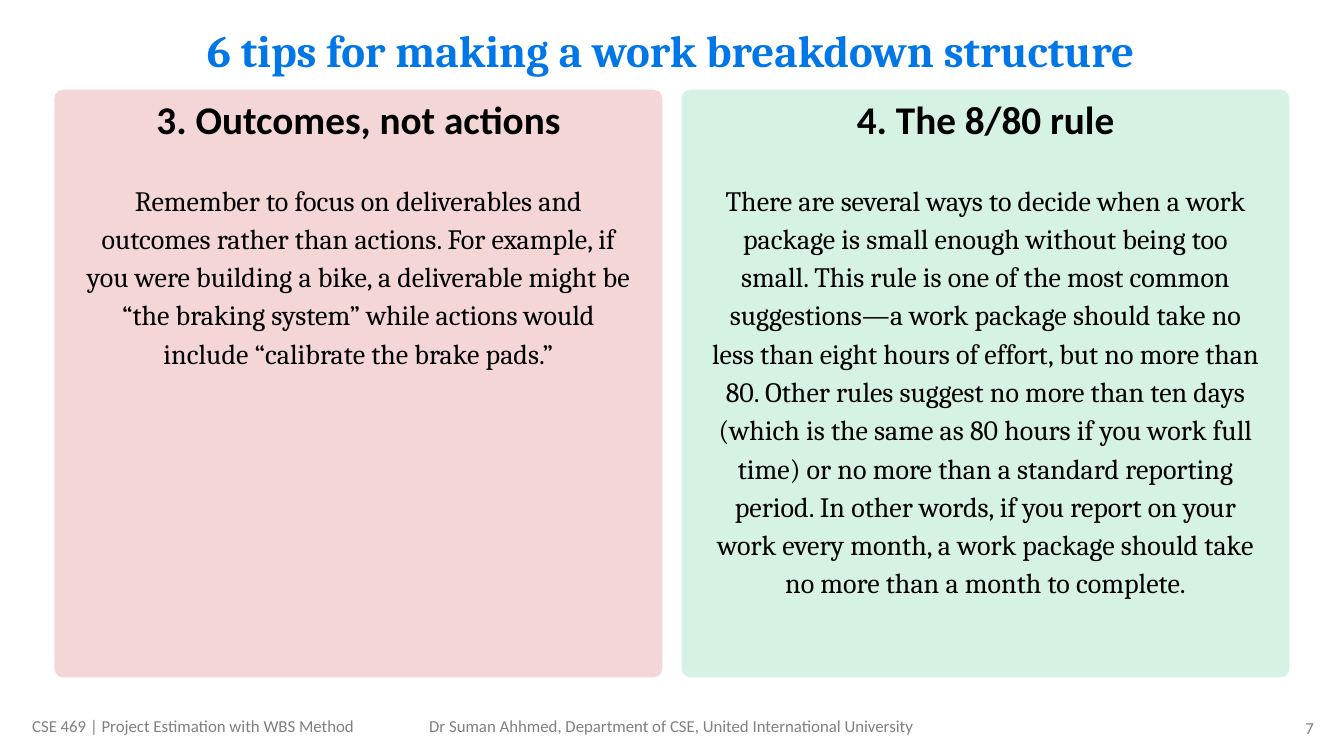
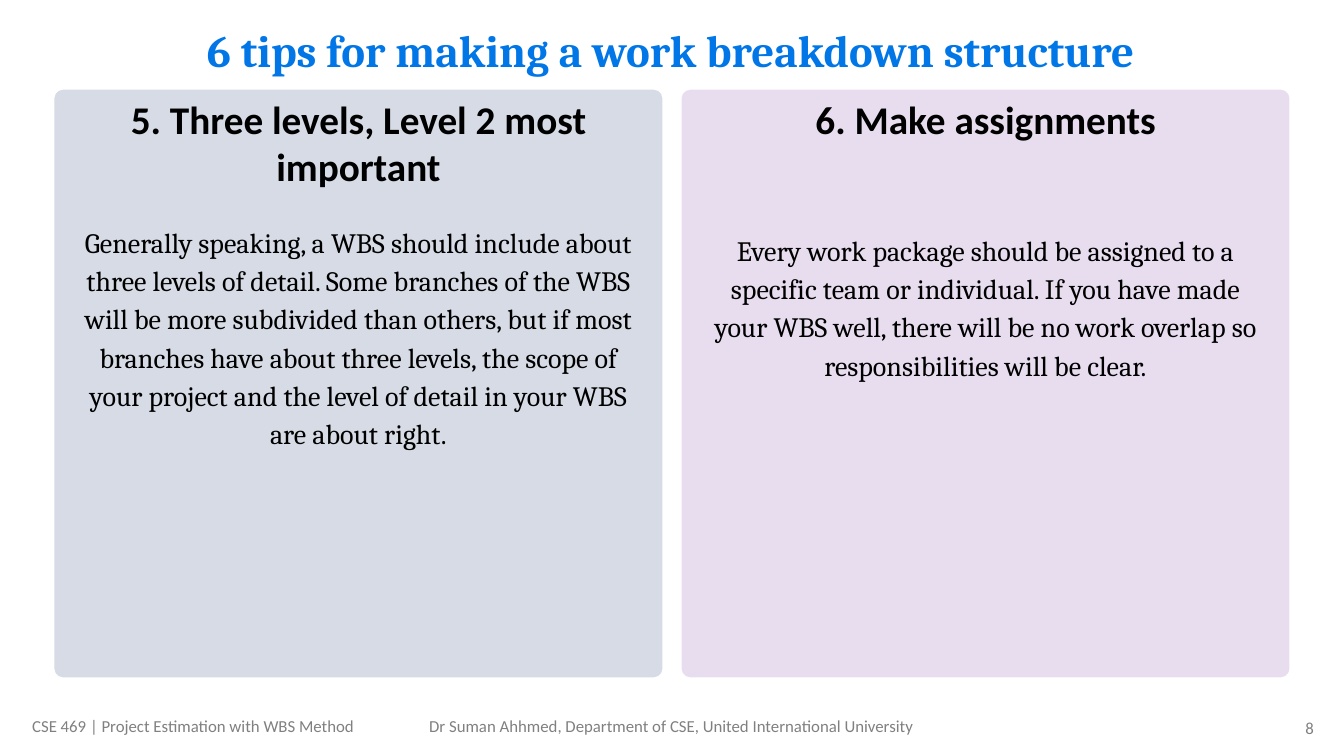
from dataclasses import dataclass

from lxml import etree
from pptx import Presentation
from pptx.dml.color import RGBColor
from pptx.enum.shapes import MSO_SHAPE
from pptx.enum.text import MSO_ANCHOR, MSO_AUTO_SIZE, PP_ALIGN
from pptx.oxml.ns import qn
from pptx.util import Inches, Pt

BLACK, FOOTER_GRAY, TITLE_BLUE = "000000", "808080", "0076E7"
HEADING_FONT, TEXT_FONT = "Calibri", "Cambria"
TITLE_ONLY_LAYOUT = 5
FIRST_NUMBER = 7

TITLE = "6 tips for making a work breakdown structure"
TITLE_BOX = (0.54, 0.17, 12.23, 0.72)
CARD_LEFT, CARD_TOP = 0.54, 0.89
CARD_WIDTH, CARD_HEIGHT, CARD_GAP = 6.03, 5.83, 0.19
CARD_INSET = 0.18
CARD_OPACITY = 16

COURSE = "CSE 469 | Project Estimation with WBS Method"
LECTURER = "Dr Suman Ahhmed, Department of CSE, United International University"


@dataclass
class Tip:
    heading: str
    text: str
    color: str
    heading_height: float = 0.56
    text_offset: float = 0.83


SLIDES = [
    [
        Tip("3. Outcomes, not actions",
            "Remember to focus on deliverables and outcomes rather than actions. "
            "For example, if you were building a bike, a deliverable might be "
            "“the braking system” while actions would include “calibrate the "
            "brake pads.”",
            "C00000"),
        Tip("4. The 8/80 rule",
            "There are several ways to decide when a work package is small enough "
            "without being too small. This rule is one of the most common "
            "suggestions—a work package should take no less than eight hours of "
            "effort, but no more than 80. Other rules suggest no more than ten "
            "days (which is the same as 80 hours if you work full time) or no more "
            "than a standard reporting period. In other words, if you report on "
            "your work every month, a work package should take no more than a "
            "month to complete.",
            "00B050"),
    ],
    [
        Tip("5. Three levels, Level 2 most important",
            "Generally speaking, a WBS should include about three levels of detail. "
            "Some branches of the WBS will be more subdivided than others, but if "
            "most branches have about three levels, the scope of your project and "
            "the level of detail in your WBS are about right.",
            "002060", heading_height=1.03, text_offset=1.25),
        Tip("6. Make assignments",
            "Every work package should be assigned to a specific team or "
            "individual. If you have made your WBS well, there will be no work "
            "overlap so responsibilities will be clear.",
            "7030A0", text_offset=1.33),
    ],
]


def set_color(color_format, color):
    color_format.rgb = RGBColor.from_string(color)


def write_text(shape, text, font, size, color, bold=False,
               align=PP_ALIGN.CENTER, anchor=MSO_ANCHOR.MIDDLE):
    frame = shape.text_frame
    frame.word_wrap = True
    frame.auto_size = MSO_AUTO_SIZE.NONE
    frame.vertical_anchor = anchor
    paragraph = frame.paragraphs[0]
    paragraph.alignment = align
    run = paragraph.add_run()
    run.text = text
    run.font.name = font
    run.font.size = Pt(size)
    run.font.bold = bold
    set_color(run.font.color, color)
    return paragraph


def add_text(shapes, box, text, *style, **options):
    text_box = shapes.add_textbox(*map(Inches, box))
    return write_text(text_box, text, *style, **options)


def add_title(slide, box):
    title = slide.shapes.title
    title.left, title.top, title.width, title.height = map(Inches, box)
    paragraph = write_text(title, TITLE, TEXT_FONT, 32, TITLE_BLUE, bold=True)
    paragraph.line_spacing = 0.9


def add_panel(shapes, box, color):
    """Add the translucent rounded background of a card."""
    panel = shapes.add_shape(MSO_SHAPE.ROUNDED_RECTANGLE, *map(Inches, box))
    panel.adjustments[0] = 0.015
    panel.shadow.inherit = False
    panel.line.fill.background()
    panel.fill.solid()
    set_color(panel.fill.fore_color, color)
    fill_color = panel.fill._xPr.find(qn("a:solidFill"))[0]
    alpha = etree.SubElement(fill_color, qn("a:alpha"))
    alpha.set("val", str(CARD_OPACITY * 1000))


def add_card(slide, box, tip):
    left, top, width, height = box
    shapes = slide.shapes.add_group_shape().shapes
    add_panel(shapes, box, tip.color)
    text_left, text_width = left + CARD_INSET, width - 2 * CARD_INSET
    add_text(shapes, (text_left, top + 0.01, text_width, tip.heading_height),
             tip.heading, HEADING_FONT, 28, BLACK, bold=True)
    text_height = height - tip.text_offset
    paragraph = add_text(
        shapes, (text_left, top + tip.text_offset, text_width, text_height),
        tip.text, TEXT_FONT, 20, BLACK, anchor=MSO_ANCHOR.TOP)
    paragraph.line_spacing = 1.14
    paragraph.space_before = paragraph.space_after = Pt(6)


def add_footer(slide, number):
    parts = [
        ((0.22, 7.05, 4.09, 0.3), COURSE, PP_ALIGN.LEFT),
        ((3.59, 7.05, 6.14, 0.3), LECTURER, PP_ALIGN.CENTER),
        ((12.01, 7.07, 1.12, 0.3), str(number), PP_ALIGN.RIGHT),
    ]
    for box, text, align in parts:
        add_text(slide.shapes, box, text, HEADING_FONT, 12, FOOTER_GRAY,
                 align=align)


def add_tips_slide(presentation, number, tips):
    layout = presentation.slide_layouts[TITLE_ONLY_LAYOUT]
    slide = presentation.slides.add_slide(layout)
    add_footer(slide, number)
    add_title(slide, TITLE_BOX)
    for column, tip in enumerate(tips):
        left = CARD_LEFT + column * (CARD_WIDTH + CARD_GAP)
        add_card(slide, (left, CARD_TOP, CARD_WIDTH, CARD_HEIGHT), tip)


def main():
    presentation = Presentation()
    presentation.slide_width = Inches(13.33)
    presentation.slide_height = Inches(7.5)
    for number, tips in enumerate(SLIDES, FIRST_NUMBER):
        add_tips_slide(presentation, number, tips)
    presentation.save("out.pptx")


if __name__ == "__main__":
    main()
